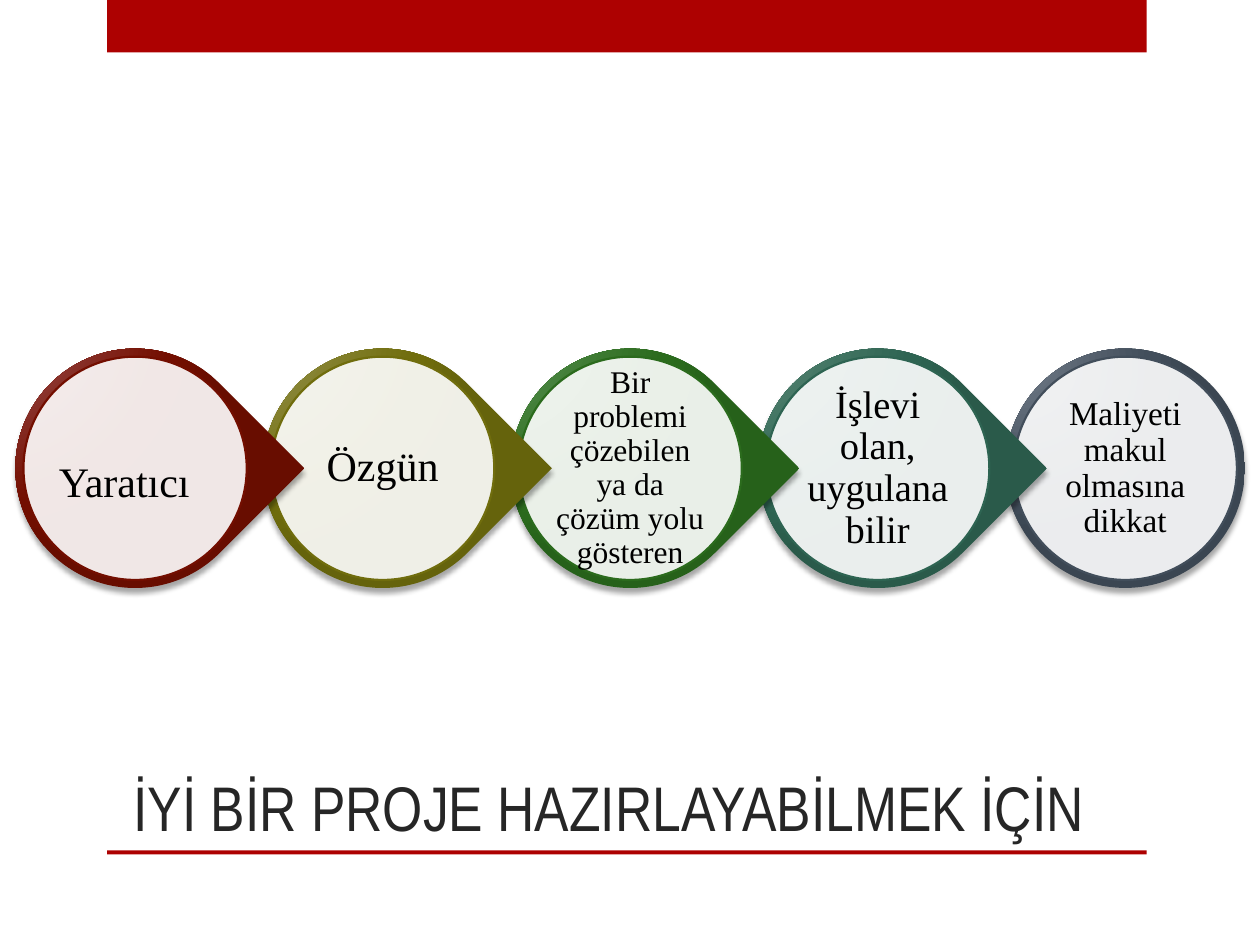
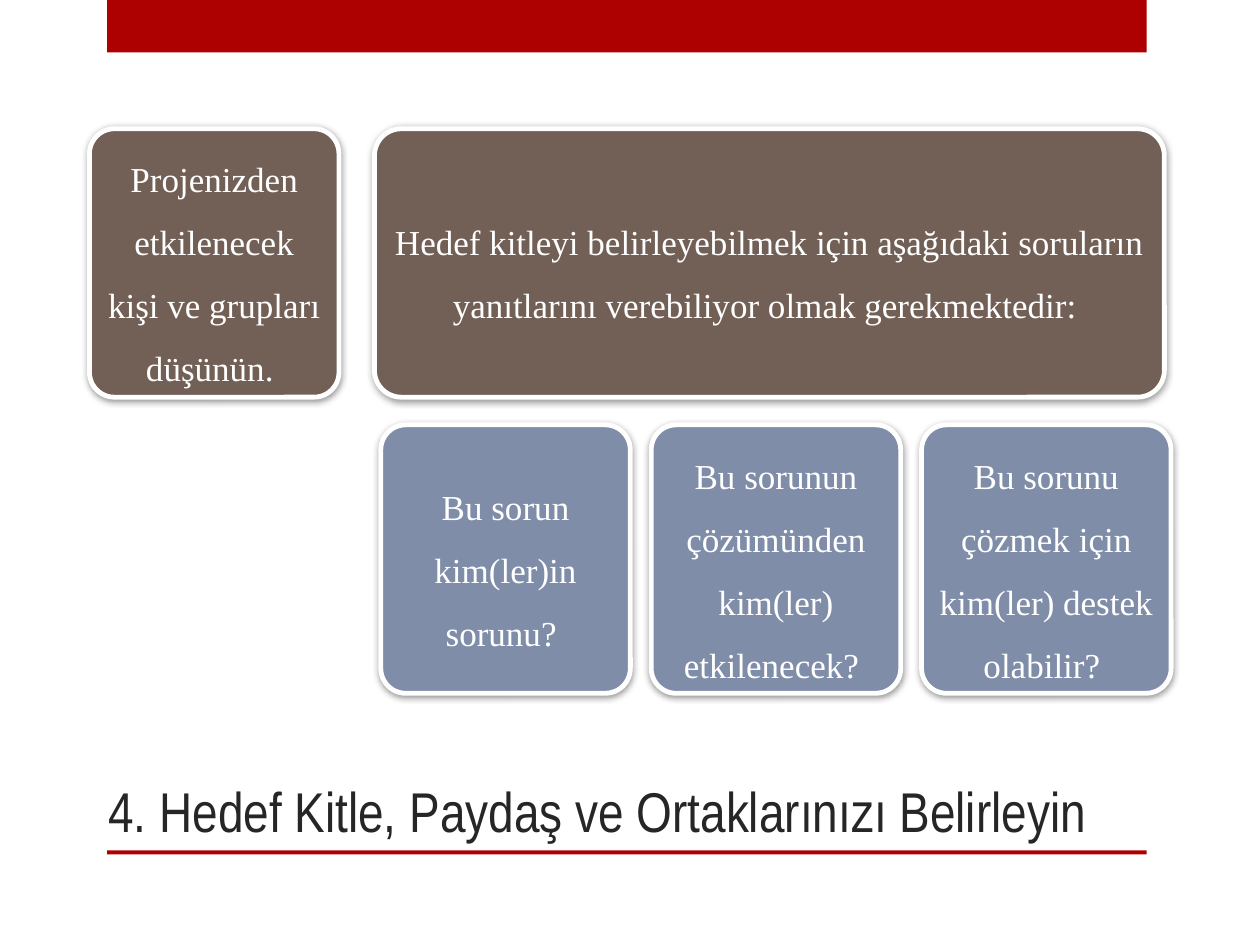
import pptx
import pptx.util
import pptx.dml.color
import pptx.enum.shapes
import pptx.enum.text
import pptx.oxml
import pptx.oxml.ns

Pt = pptx.util.Pt
SHAPES = pptx.enum.shapes.MSO_SHAPE
ALIGN = pptx.enum.text.PP_ALIGN
ANCHOR = pptx.enum.text.MSO_ANCHOR
NAMESPACE = pptx.oxml.ns.nsdecls("a")

COLORS = {
    "accent": "AD0101", "title": "262626", "black": "000000", "white": "FFFFFF",
    "statement": "726056", "question": "808DA9",
}
BODY_FONT = "Times New Roman"
TITLE_FONT = "Arial Narrow"


def write_text(shape, text, color, inset, frame_format, paragraph_format, font_format):
    """Fill a shape's text frame with one formatted paragraph."""
    frame = shape.text_frame
    paragraph = frame.paragraphs[0]
    paragraph.text = text
    margins = dict.fromkeys(
        ("margin_left", "margin_top", "margin_right", "margin_bottom"), Pt(inset))
    shared = {"word_wrap": True, "auto_size": pptx.enum.text.MSO_AUTO_SIZE.NONE}
    for target, values in ((frame, shared | margins | frame_format),
                           (paragraph, paragraph_format),
                           (paragraph.font, font_format)):
        for name, value in values.items():
            setattr(target, name, value)
    paragraph.font.color.rgb = pptx.dml.color.RGBColor.from_string(COLORS[color])


def add_block(slide, kind, box, color, line=None, shadow=None):
    """Add a filled shape; line is (hex, width), shadow is (alpha, blur, distance, angle)."""
    shape = slide.shapes.add_shape(kind, *(Pt(length) for length in box))
    shape.fill.solid()
    shape.fill.fore_color.rgb = pptx.dml.color.RGBColor.from_string(color)
    if line:
        shape.line.color.rgb = pptx.dml.color.RGBColor.from_string(line[0])
        shape.line.width = Pt(line[1])
    else:
        shape.line.fill.background()
    shape.shadow.inherit = False
    if shadow:
        alpha, blur, distance, angle = shadow
        effects = shape._element.spPr.find(pptx.oxml.ns.qn("a:effectLst"))
        effects.append(pptx.oxml.parse_xml(
            f'<a:outerShdw {NAMESPACE} blurRad="{Pt(blur)}" dist="{Pt(distance)}" '
            f'dir="{angle * 60000}" algn="ctr" rotWithShape="0">'
            f'<a:srgbClr val="{COLORS["black"]}"><a:alpha val="{alpha * 1000}"/></a:srgbClr>'
            f'</a:outerShdw>'))
    return shape


presentation = pptx.Presentation()
presentation.slide_width = Pt(720)
presentation.slide_height = Pt(540)

# Both slides: top band, rule and bottom title
titles = [
    ("İYİ BİR PROJE HAZIRLAYABİLMEK İÇİN", 36, (69, 394, 606, 92)),
    ("4. Hedef Kitle, Paydaş ve Ortaklarınızı Belirleyin", 32, (54.7, 360, 710.6, 126)),
]
slides = []
for text, size, box in titles:
    slide = presentation.slides.add_slide(presentation.slide_layouts[5])
    slides.append(slide)
    for top, height in ((0, 30), (486, 2.2)):
        add_block(slide, SHAPES.RECTANGLE, (61.2, top, 594, height), COLORS["accent"])
    title = slide.shapes.title
    for name, length in zip(("left", "top", "width", "height"), box):
        setattr(title, name, Pt(length))
    write_text(title, text, "title", 7.2, {"vertical_anchor": ANCHOR.BOTTOM},
               {"alignment": ALIGN.LEFT}, {"size": Pt(size), "name": TITLE_FONT})
    title.text_frame.margin_top = title.text_frame.margin_bottom = Pt(3.6)

# Slide 1: chain of drops, drawn from the last to the first so each tip overlaps the next
# Each quality: text, size, gradient colours, alignment, line spacing
qualities = [
    ("Yaratıcı", 24, ("9F5554", "730E00", "680D00"), ALIGN.LEFT, 1.5),
    ("Özgün", 24, ("9C9856", "706D0D", "65630C"), ALIGN.CENTER, 0.9),
    ("Bir problemi çözebilen ya da çözüm yolu gösteren", 18,
     ("5F965A", "2B6B1D", "26611A"), ALIGN.CENTER, 0.9),
    ("İşlevi olan, uygulanabilir", 22, ("618E7C", "2E6452", "2A5A4A"), ALIGN.CENTER, 0.9),
    ("Maliyeti makul olmasına dikkat", 19, ("6D7784", "424E5B", "3B4652"), ALIGN.CENTER, 0.9),
]
drop_left, drop_top, drop_size, drop_step, rim = 8.8, 199.2, 136.8, 141.45, 4.6
for index, (text, size, shades, alignment, spacing) in reversed(list(enumerate(qualities))):
    left = drop_left + index * drop_step
    is_last = index == len(qualities) - 1
    drop = add_block(slides[0], SHAPES.OVAL if is_last else SHAPES.TEAR,
                     (left, drop_top, drop_size, drop_size), shades[1], shadow=(35, 3, 3, 90))
    drop.rotation = 0 if is_last else 45
    properties = drop._element.spPr
    stops = "".join(f'<a:gs pos="{position}"><a:srgbClr val="{shade}"/></a:gs>'
                    for position, shade in zip((0, 76000, 100000), shades))
    properties.replace(properties.find(pptx.oxml.ns.qn("a:solidFill")), pptx.oxml.parse_xml(
        f'<a:gradFill {NAMESPACE} rotWithShape="1"><a:gsLst>{stops}</a:gsLst>'
        '<a:path path="circle"><a:fillToRect l="15000" t="15000" r="100000" b="100000"/>'
        '</a:path></a:gradFill>'))

    # Translucent inner disc with the text
    inner = drop_size - 2 * rim
    disc = add_block(slides[0], SHAPES.OVAL, (left + rim, drop_top + rim, inner, inner),
                     COLORS["white"], line=(shades[1], 1.25))
    white = disc._element.spPr.find(pptx.oxml.ns.qn("a:solidFill"))[0]
    white.append(pptx.oxml.parse_xml(f'<a:alpha {NAMESPACE} val="90000"/>'))
    write_text(disc, text, "black", 1.5, {"vertical_anchor": ANCHOR.MIDDLE},
               {"alignment": alignment, "line_spacing": spacing},
               {"size": Pt(size), "name": BODY_FONT})

# Slide 2: statement cards above, question cards below
card_width, card_height, question_step = 142.6, 153.4, 154.5
cards = [
    ("Projenizden etkilenecek kişi ve grupları düşünün. ", "statement", 51.1, 73.6, card_width),
    ("Hedef kitleyi belirleyebilmek için aşağıdaki soruların yanıtlarını verebiliyor "
     "olmak gerekmektedir: ", "statement", 214, 73.6, 451.4),
]
questions = [
    "Bu sorun kim(ler)in sorunu? ",
    "Bu sorunun çözümünden kim(ler) etkilenecek? ",
    "Bu sorunu çözmek için kim(ler) destek olabilir? ",
]
for index, text in enumerate(questions):
    cards.append((text, "question", 217.6 + index * question_step, 242.8, card_width))
for text, color, left, top, width in cards:
    card = add_block(slides[1], SHAPES.ROUNDED_RECTANGLE, (left, top, width, card_height),
                     COLORS[color], line=(COLORS["white"], 2.75), shadow=(40, 4, 1, 88))
    card.adjustments[0] = 0.1
    write_text(card, text, "white", 5.8, {"vertical_anchor": ANCHOR.MIDDLE},
               {"alignment": ALIGN.CENTER, "line_spacing": 1.5},
               {"size": Pt(20), "name": BODY_FONT})

presentation.save("out.pptx")
